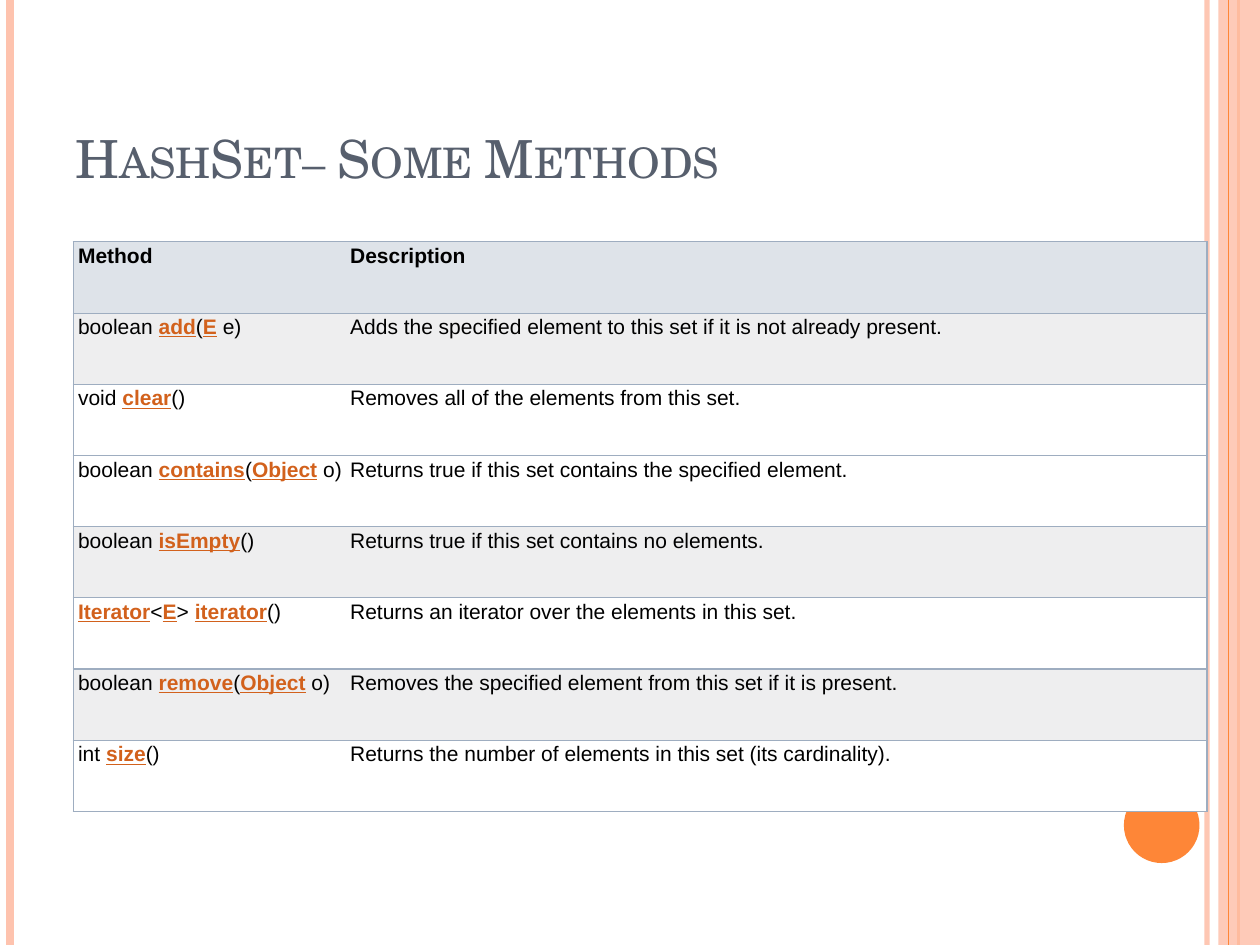
import pptx
import pptx.dml.color
import pptx.enum.shapes
import pptx.enum.text
import pptx.oxml
import pptx.oxml.ns
import pptx.util
from lxml import etree

Inches = pptx.util.Inches
COLORS = {
    "peach": "FEC3AE", "orange": "FE8637", "title": "575F6D", "text": "000000",
    "link": "D2611C", "border": "9EADC0", "header": "DEE3E9", "band": "EEEEEF", "plain": "FFFFFF",
}
# Asterisks enclose the linked names.
METHODS = [
    ("Method", "Description", "header"),
    ("boolean *add*(*E* e)", "Adds the specified element to this set if it is not already present.", "band"),
    ("void *clear*()", "Removes all of the elements from this set.", "plain"),
    ("boolean *contains*(*Object* o)", "Returns true if this set contains the specified element.", "plain"),
    ("boolean *isEmpty*()", "Returns true if this set contains no elements.", "band"),
    ("*Iterator*<*E*> *iterator*()", "Returns an iterator over the elements in this set.", "plain"),
    ("boolean *remove*(*Object* o)", "Removes the specified element from this set if it is present.", "band"),
    ("int *size*()", "Returns the number of elements in this set (its cardinality).", "plain"),
]


def rgb(name):
    return pptx.dml.color.RGBColor.from_string(COLORS[name])


def add_run(p, text, *, font="Arial", size=12, color="text", bold=False, underline=False, small_caps=False):
    r = p.add_run()
    r.text = text
    r.font.name = font
    r.font.size = pptx.util.Pt(size)
    r.font.bold = bold
    r.font.underline = underline
    r.font.color.rgb = rgb(color)
    if small_caps:
        r._r.get_or_add_rPr().set("cap", "small")


def set_alpha(element, percent):
    color = element.find(".//" + pptx.oxml.ns.qn("a:srgbClr"))
    etree.SubElement(color, pptx.oxml.ns.qn("a:alpha")).set("val", str(percent * 1000))


class SlideBuilder:
    """Draws styled elements on the current slide."""

    def __init__(self, s):
        self.s = s

    def rule(self, x, width, color, alpha=None):
        line = self.s.shapes.add_connector(
            pptx.enum.shapes.MSO_CONNECTOR.STRAIGHT, Inches(x), 0, Inches(x), Inches(7.5))
        line.line.width = pptx.util.Pt(width)
        line.line.color.rgb = rgb(color)
        sp_pr = line._element.spPr
        if alpha:
            set_alpha(sp_pr, alpha)
        etree.SubElement(sp_pr, pptx.oxml.ns.qn("a:effectLst"))

    def shape(self, kind, x, y, w, h, color, alpha=None):
        sp = self.s.shapes.add_shape(kind, Inches(x), Inches(y), Inches(w), Inches(h))
        sp.shadow.inherit = False
        sp.fill.solid()
        sp.fill.fore_color.rgb = rgb(color)
        sp.line.fill.background()
        if alpha:
            set_alpha(sp._element.spPr, alpha)

    def title(self, text, x, y, w, h):
        tf = self.s.shapes.add_textbox(Inches(x), Inches(y), Inches(w), Inches(h)).text_frame
        tf.word_wrap = True
        tf.vertical_anchor = pptx.enum.text.MSO_ANCHOR.BOTTOM
        add_run(tf.paragraphs[0], text, font="TeX Gyre Schola", size=30, color="title", small_caps=True)

    def borders(self, cell, open_side):
        tc_pr = cell._tc.get_or_add_tcPr()
        for side in "LRTB":
            paint = "<a:noFill/>" if side == open_side else (
                f'<a:solidFill><a:srgbClr val="{COLORS["border"]}"/></a:solidFill>')
            tc_pr.append(pptx.oxml.parse_xml(
                f'<a:ln{side} {pptx.oxml.ns.nsdecls("a")} w="9525">{paint}</a:ln{side}>'))

    def cell(self, cell, text, fill, open_side, bold):
        cell.margin_left = Inches(0.04)
        cell.margin_right = cell.margin_top = cell.margin_bottom = Inches(0.02)
        self.borders(cell, open_side)
        cell.fill.solid()
        cell.fill.fore_color.rgb = rgb(fill)
        p = cell.text_frame.paragraphs[0]
        for i, part in enumerate(text.split("*")):
            linked = i % 2 == 1
            if part:
                add_run(p, part, color="link" if linked else "text", bold=bold or linked, underline=linked)

    def table(self, rows, x, y, widths, row_height):
        table = self.s.shapes.add_table(
            len(rows), len(widths), Inches(x), Inches(y),
            Inches(sum(widths)), Inches(row_height * len(rows))).table
        table.first_row = table.horz_banding = False
        for column, width in zip(table.columns, widths):
            column.width = Inches(width)
        for i, (method, description, fill) in enumerate(rows):
            table.rows[i].height = Inches(row_height)
            self.cell(table.cell(i, 0), method, fill, "R", i == 0)
            self.cell(table.cell(i, 1), description, fill, "L", i == 0)


def main():
    prs = pptx.Presentation()
    prs.slide_width, prs.slide_height = Inches(10), Inches(7.5)
    b = SlideBuilder(prs.slides.add_slide(prs.slide_layouts[6]))
    shapes = pptx.enum.shapes.MSO_SHAPE
    b.rule(9.58, 3, "peach", alpha=93)
    b.rule(0.08, 4.5, "peach")
    b.rule(9.83, 1.5, "orange")
    b.shape(shapes.RECTANGLE, 9.67, 0, 0.33, 7.5, "peach", alpha=87)
    b.rule(9.75, 0.75, "orange")
    b.shape(shapes.OVAL, 8.92, 6.25, 0.6, 0.6, "orange")
    b.title("HashSet– Some Methods", 0.5, 0.3, 8.17, 1.25)
    b.table(METHODS, 0.58, 1.92, [2.16, 6.84], 0.565)
    prs.save("out.pptx")


if __name__ == "__main__":
    main()
